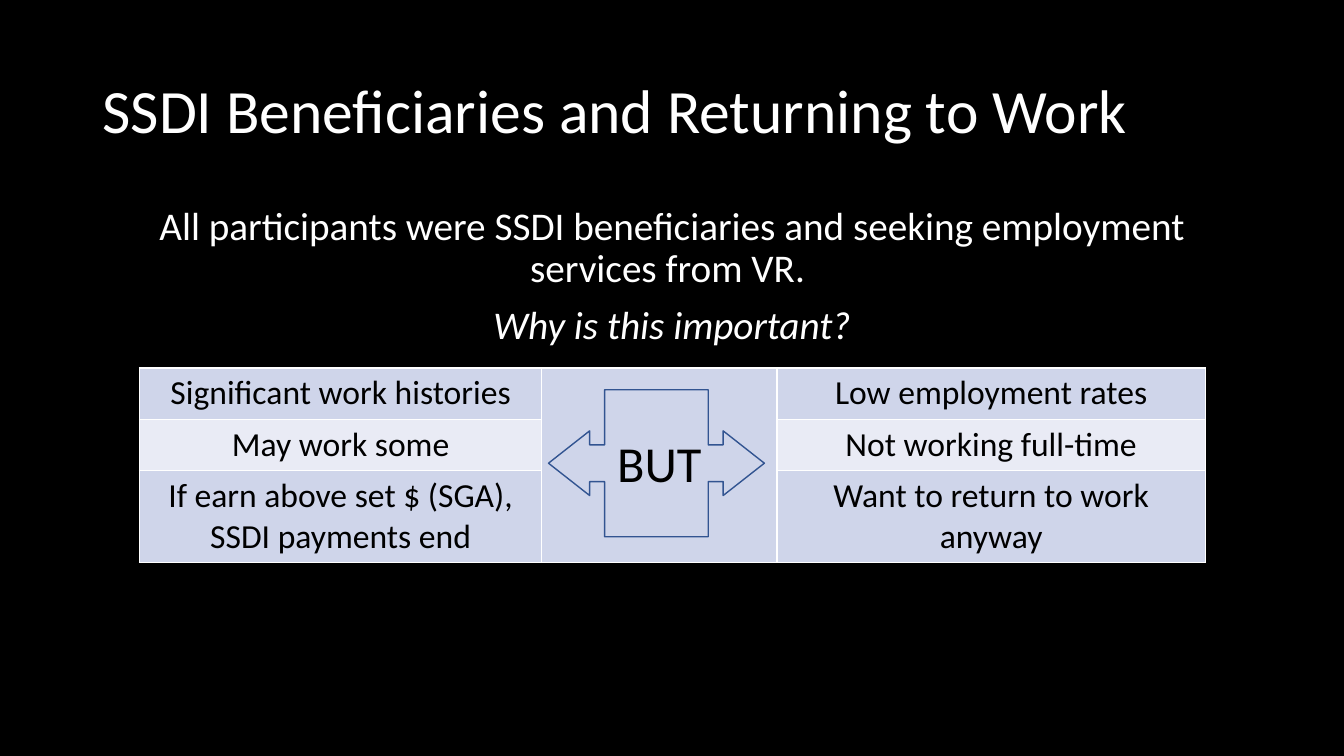
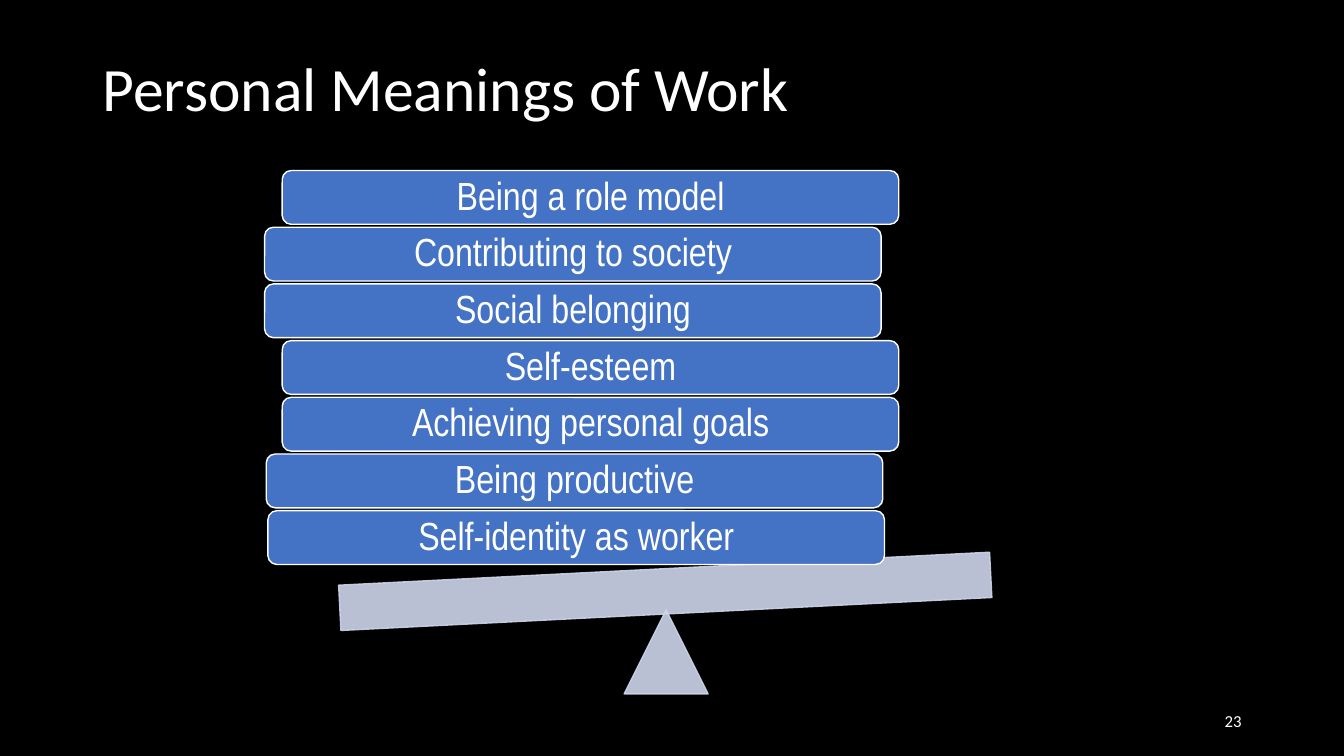
import pptx
import pptx.dml.color
import pptx.enum.shapes
import pptx.enum.text
import pptx.oxml
import pptx.oxml.ns
import pptx.util

Pt = pptx.util.Pt
SHAPE = pptx.enum.shapes.MSO_SHAPE
ALIGN = pptx.enum.text.PP_ALIGN
MIDDLE = pptx.enum.text.MSO_ANCHOR.MIDDLE
COLS, ROWS = 160, 90

BLACK, WHITE = "000000", "FFFFFF"
BLUE, NAVY = "4472C4", "325491"
PALE, LIGHT = "CFD5EA", "E9EBF5"
SANS, NARROW = "Calibri", "Arial Narrow"


def rgb(code):
    return pptx.dml.color.RGBColor.from_string(code)


def grid(*cells):
    """Turn grid units (a twelfth of an inch) into lengths."""
    return [pptx.util.Inches(cell / 12) for cell in cells]


def fade(shape, share):
    """Make the fill and the line of a shape partly opaque."""
    for color in shape.element.spPr.iter(pptx.oxml.ns.qn("a:srgbClr")):
        alpha = color.makeelement(pptx.oxml.ns.qn("a:alpha"), {"val": str(share * 1000)})
        color.append(alpha)


class Deck:
    def __init__(self):
        self.prs = pptx.Presentation()
        self.prs.slide_width, self.prs.slide_height = grid(COLS, ROWS)
        back = self.prs.slide_master.background.fill
        back.solid()
        back.fore_color.rgb = rgb(BLACK)

    def style(self, para, size, color=WHITE, font=SANS, align=ALIGN.CENTER, lead=None):
        para.alignment = align
        para.line_spacing = lead
        para.font.size = Pt(size)
        para.font.name = font
        para.font.color.rgb = rgb(color)

    def slide(self, title, top):
        self.page = self.prs.slides.add_slide(self.prs.slide_layouts[5])
        head = self.page.shapes.title
        head.left, head.top, head.width, head.height = grid(11, top, 138, 17.4)
        frame = head.text_frame
        frame.text = title
        frame.auto_size = pptx.enum.text.MSO_AUTO_SIZE.NONE
        frame.vertical_anchor = MIDDLE
        self.style(frame.paragraphs[0], 44, align=ALIGN.LEFT, lead=0.9)

    def text(self, box, lines, size, gap=0, **look):
        frame = self.page.shapes.add_textbox(*grid(*box)).text_frame
        frame.word_wrap = True
        frame.text = "\n".join(lines)
        for num, para in enumerate(frame.paragraphs):
            self.style(para, size, **look)
            if num:
                para.space_before = Pt(gap)
        return frame

    def shape(self, kind, box, fill, line):
        shape = self.page.shapes.add_shape(kind, *grid(*box))
        shape.shadow.inherit = False
        if fill:
            shape.fill.solid()
            shape.fill.fore_color.rgb = rgb(fill)
        else:
            shape.fill.background()
        shape.line.color.rgb = rgb(line)
        shape.line.width = Pt(1)
        return shape

    def bar(self, box, label):
        bar = self.shape(SHAPE.ROUNDED_RECTANGLE, box, BLUE, WHITE)
        frame = bar.text_frame
        frame.margin_top = frame.margin_bottom = 0
        frame.vertical_anchor = MIDDLE
        frame.text = label
        self.style(frame.paragraphs[0], 28, font=NARROW, lead=0.9)

    def table(self, left, top, wide, high, rows):
        box = grid(left, top, sum(wide), sum(high))
        table = self.page.shapes.add_table(len(high), len(wide), *box).table
        table.first_row = table.horz_banding = False
        for col, width in zip(table.columns, grid(*wide)):
            col.width = width
        for row, height in zip(table.rows, grid(*high)):
            row.height = height
        for y, row in enumerate(rows):
            for x, label in enumerate(row):
                self.cell(table.cell(y, x), label, LIGHT if y % 2 else PALE)
        return table

    def cell(self, cell, label, fill):
        cell.text = label
        self.style(cell.text_frame.paragraphs[0], 24, color=BLACK)
        cell.fill.solid()
        cell.fill.fore_color.rgb = rgb(fill)
        props = cell._tc.get_or_add_tcPr()
        for num, side in enumerate("LRTB"):
            props.insert(num, pptx.oxml.parse_xml(
                f'<a:ln{side} {pptx.oxml.ns.nsdecls("a")} w="12700"><a:solidFill>'
                f'<a:srgbClr val="{WHITE}"/></a:solidFill></a:ln{side}>'))


def returning(deck):
    deck.slide("SSDI Beneficiaries and Returning to Work", 4.8)
    lines = [
        "All participants were SSDI beneficiaries and seeking employment services from VR. ",
        "Why is this important?",
    ]
    body = deck.text((11, 24, 138, 57), lines, 28, gap=10, lead=0.9)
    body.paragraphs[1].font.italic = True
    table = deck.table(16.6, 43.8, (47.9, 28, 51), (6.1, 6.1, 11), [
        ("Significant work histories", "BUT", "Low employment rates"),
        ("May work some", "", "Not working full-time"),
        ("If earn above set $ (SGA), SSDI payments end", "", "Want to return to work anyway"),
    ])
    but = table.cell(0, 1)
    but.merge(table.cell(2, 1))
    but.vertical_anchor = MIDDLE
    but.text_frame.paragraphs[0].font.size = Pt(36)
    arrow = deck.shape(SHAPE.LEFT_RIGHT_ARROW_CALLOUT, (65.3, 46.4, 25.7, 17.5), None, NAVY)
    for num, value in enumerate((0.25, 0.22, 0.28, 0.48)):
        arrow.adjustments[num] = value


def meanings(deck):
    deck.slide("Personal Meanings of Work", 2.2)
    pivot = deck.shape(SHAPE.ISOSCELES_TRIANGLE, (74.3, 72.6, 10, 10), PALE, PALE)
    plank = deck.shape(SHAPE.RECTANGLE, (40.4, 67.7, 77.6, 5.4), PALE, PALE)
    plank.rotation = 357.1
    for part in (pivot, plank):
        fade(part, 90)
    stack = [
        ("Being a role model", 33.6),
        ("Contributing to society", 31.5),
        ("Social belonging", 31.5),
        ("Self-esteem", 33.6),
        ("Achieving personal goals", 33.6),
        ("Being productive", 31.7),
        ("Self-identity as worker", 31.9),
    ]
    for num, (label, left) in enumerate(stack):
        deck.bar((left, 20.3 + 6.75 * num, 73.4, 6.4), label)
    page = deck.text((113, 83.4, 36, 4.8), ["23"], 12, align=ALIGN.RIGHT)
    page.vertical_anchor = MIDDLE


def main():
    deck = Deck()
    returning(deck)
    meanings(deck)
    deck.prs.save("out.pptx")


if __name__ == "__main__":
    main()
